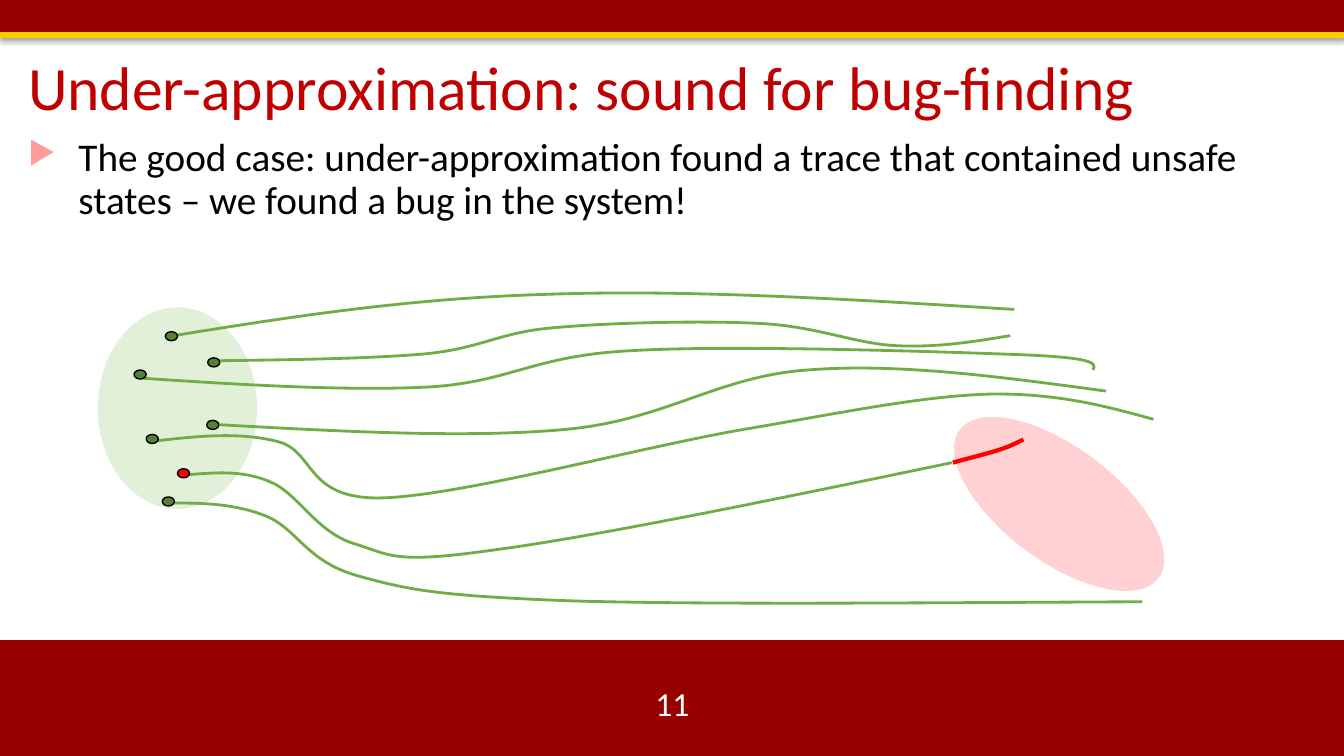
from dataclasses import dataclass
from typing import Any, NamedTuple

from lxml.etree import SubElement
from pptx import Presentation
from pptx.dml.color import RGBColor
from pptx.enum.shapes import MSO_SHAPE
from pptx.enum.text import MSO_ANCHOR, PP_ALIGN
from pptx.oxml.ns import qn
from pptx.util import Inches, Pt

UNITS = 1000  # freeform units per inch
GREEN, RED, MAROON = "70AD47", "FF0000", "990000"


class Area(NamedTuple):
    left: float
    top: float
    width: float
    height: float


@dataclass
class Solid:
    area: Area
    fill: str
    kind: Any = MSO_SHAPE.OVAL
    outlined: bool = False
    shadow_alpha: int = 0
    rotation: float = 0


@dataclass
class Trace:
    """Start point, then two control points and an end point per curve."""
    points: list[tuple[float, float]]
    color: str = GREEN
    width: float = 2


@dataclass
class Label:
    area: Area
    text: str
    size: float
    color: str
    para_format: dict[str, Any]
    anchor: Any = MSO_ANCHOR.MIDDLE


BARS = [
    Solid(Area(0, 6.35, 13.33, 1.15), MAROON, MSO_SHAPE.RECTANGLE, shadow_alpha=35),
    Solid(Area(0, 0, 13.33, 0.33), MAROON, MSO_SHAPE.RECTANGLE, shadow_alpha=35),
    Solid(Area(0, 0.32, 13.33, 0.06), "FFCC00", MSO_SHAPE.RECTANGLE, shadow_alpha=38),
]
REGIONS = [
    Solid(Area(0.97, 3.05, 1.58, 2), "E2F0D9"),
    Solid(Area(9.94, 3.77, 1.13, 2.46), "FFD1D2", rotation=306.7),
]
TRACES = [
    Trace([(1.66, 3.34), (2.84, 3.15), (4.03, 2.96), (5.43, 2.92),
           (6.83, 2.87), (8.45, 2.97), (10.06, 3.07)]),
    Trace([(2.1, 3.58), (2.88, 3.57), (3.66, 3.56), (4.23, 3.51),
           (4.8, 3.45), (4.96, 3.29), (5.52, 3.25),
           (6.07, 3.2), (6.99, 3.18), (7.55, 3.21),
           (8.11, 3.24), (8.48, 3.41), (8.89, 3.43),
           (9.3, 3.45), (9.66, 3.39), (10.02, 3.33)]),
    Trace([(1.37, 3.75), (2.41, 3.82), (3.44, 3.88), (4.25, 3.84),
           (5.07, 3.79), (5.28, 3.53), (6.25, 3.48),
           (7.23, 3.42), (9.36, 3.49), (10.13, 3.52),
           (10.89, 3.55), (10.87, 3.61), (10.84, 3.67)]),
    Trace([(2.11, 4.21), (3.37, 4.28), (4.63, 4.35), (5.61, 4.26),
           (6.6, 4.17), (7.12, 3.73), (8.02, 3.67),
           (8.91, 3.6), (9.94, 3.74), (10.97, 3.88)]),
    Trace([(1.5, 4.38), (1.93, 4.33), (2.36, 4.28), (2.75, 4.38),
           (3.13, 4.47), (3.02, 4.96), (3.79, 4.94),
           (4.57, 4.92), (6.38, 4.43), (7.38, 4.26),
           (8.38, 4.09), (9.14, 3.93), (9.82, 3.91),
           (10.49, 3.9), (10.97, 4.03), (11.44, 4.16)]),
    Trace([(1.85, 4.71), (2.13, 4.69), (2.4, 4.66), (2.68, 4.78),
           (2.95, 4.89), (3.13, 5.27), (3.5, 5.39),
           (3.87, 5.5), (3.88, 5.6), (4.87, 5.46),
           (5.87, 5.33), (7.66, 4.96), (9.44, 4.59)]),
    Trace([(9.45, 4.59), (9.63, 4.54), (9.8, 4.5), (9.92, 4.46),
           (10.04, 4.42), (10.09, 4.39), (10.15, 4.36)], RED, 3),
    Trace([(1.73, 4.99), (2.04, 4.99), (2.34, 5), (2.64, 5.12),
           (2.94, 5.24), (3.04, 5.57), (3.54, 5.71),
           (4.04, 5.85), (4.33, 5.91), (5.63, 5.96),
           (6.93, 6), (9.13, 5.98), (11.33, 5.97)]),
]
SAFE_STARTS = [(1.64, 3.29), (1.33, 3.67), (2.05, 4.17), (2.06, 3.55),
               (1.45, 4.31), (1.61, 4.93)]
UNSAFE_START = (1.76, 4.65)

PAGE_NUMBER = Label(Area(5.17, 6.78, 3, 0.4), "11", 24, "FFFFFF",
                    {"alignment": PP_ALIGN.CENTER})
TITLE = Label(Area(0.18, 0.47, 11.94, 0.85), "Under-approximation: sound for bug-finding",
              44, "C00000", {"line_spacing": 0.9})
STATEMENT = Label(Area(0.18, 1.32, 12.79, 1.05),
                  "The good case: under-approximation found a trace that contained "
                  "unsafe states – we found a bug in the system!",
                  28, "000000", {"line_spacing": 0.9}, MSO_ANCHOR.TOP)


def rgb(color: str) -> RGBColor:
    return RGBColor.from_string(color)


def add_solid(page: Any, solid: Solid) -> None:
    shape = page.shapes.add_shape(solid.kind, *map(Inches, solid.area))
    shape.rotation = solid.rotation
    shape.shadow.inherit = False
    shape.fill.solid()
    shape.fill.fore_color.rgb = rgb(solid.fill)
    if solid.outlined:
        shape.line.color.rgb = rgb("000000")
        shape.line.width = Pt(1)
    else:
        shape.line.fill.background()
    if solid.shadow_alpha:
        effects = shape._element.spPr.find(qn("a:effectLst"))
        shadow = SubElement(effects, qn("a:outerShdw"), blurRad=str(Pt(3.1)),
                            dist=str(Pt(1.8)), dir="5400000", rotWithShape="0")
        tint = SubElement(shadow, qn("a:srgbClr"), val="000000")
        SubElement(tint, qn("a:alpha"), val=str(solid.shadow_alpha * 1000))


def add_trace(page: Any, trace: Trace) -> None:
    start, *rest = [(round(x * UNITS), round(y * UNITS)) for x, y in trace.points]
    builder = page.shapes.build_freeform(*start, scale=Inches(1) / UNITS)
    builder.add_line_segments(rest, close=False)
    shape = builder.convert_to_shape()
    shape.shadow.inherit = False
    shape.fill.background()
    shape.line.color.rgb = rgb(trace.color)
    shape.line.width = Pt(trace.width)
    # Every three segments become one cubic curve
    outline = next(shape._element.iter(qn("a:path")))
    segments = outline.findall(qn("a:lnTo"))
    for first in range(0, len(segments), 3):
        curve = SubElement(outline, qn("a:cubicBezTo"))
        for segment in segments[first:first + 3]:
            curve.append(segment[0])
            outline.remove(segment)


def add_label(page: Any, label: Label) -> Any:
    frame = page.shapes.add_textbox(*map(Inches, label.area)).text_frame
    frame.word_wrap = True
    frame.vertical_anchor = label.anchor
    para = frame.paragraphs[0]
    for name, value in label.para_format.items():
        setattr(para, name, value)
    span = para.add_run()
    span.text = label.text
    span.font.color.rgb = rgb(label.color)
    for name, value in {"name": "Calibri", "size": Pt(label.size)}.items():
        setattr(span.font, name, value)
    return para


def add_bullet(para: Any, symbol: str, color: str, percent: int, indent: float) -> None:
    properties = para._p.get_or_add_pPr()
    properties.set("marL", str(Inches(indent)))
    properties.set("indent", str(Inches(-indent)))
    tint = SubElement(properties, qn("a:buClr"))
    SubElement(tint, qn("a:srgbClr"), val=color)
    SubElement(properties, qn("a:buSzPct"), val=str(percent * 1000))
    SubElement(properties, qn("a:buChar"), char=symbol)


def main() -> None:
    deck = Presentation()
    deck.slide_width, deck.slide_height = Inches(13.33), Inches(7.5)
    page = deck.slides.add_slide(deck.slide_layouts[6])

    # Header and footer bars
    for bar in BARS:
        add_solid(page, bar)

    # Page number, title and statement
    add_label(page, PAGE_NUMBER)
    add_label(page, TITLE)
    add_bullet(add_label(page, STATEMENT), "▶", "FF9B9B", 80, 0.5)

    # Initial and unsafe regions, traces, start states
    for region in REGIONS:
        add_solid(page, region)
    for trace in TRACES:
        add_trace(page, trace)
    for start in [*SAFE_STARTS, UNSAFE_START]:
        fill = RED if start == UNSAFE_START else "548235"
        add_solid(page, Solid(Area(*start, 0.12, 0.09), fill, outlined=True))

    deck.save("out.pptx")


if __name__ == "__main__":
    main()
